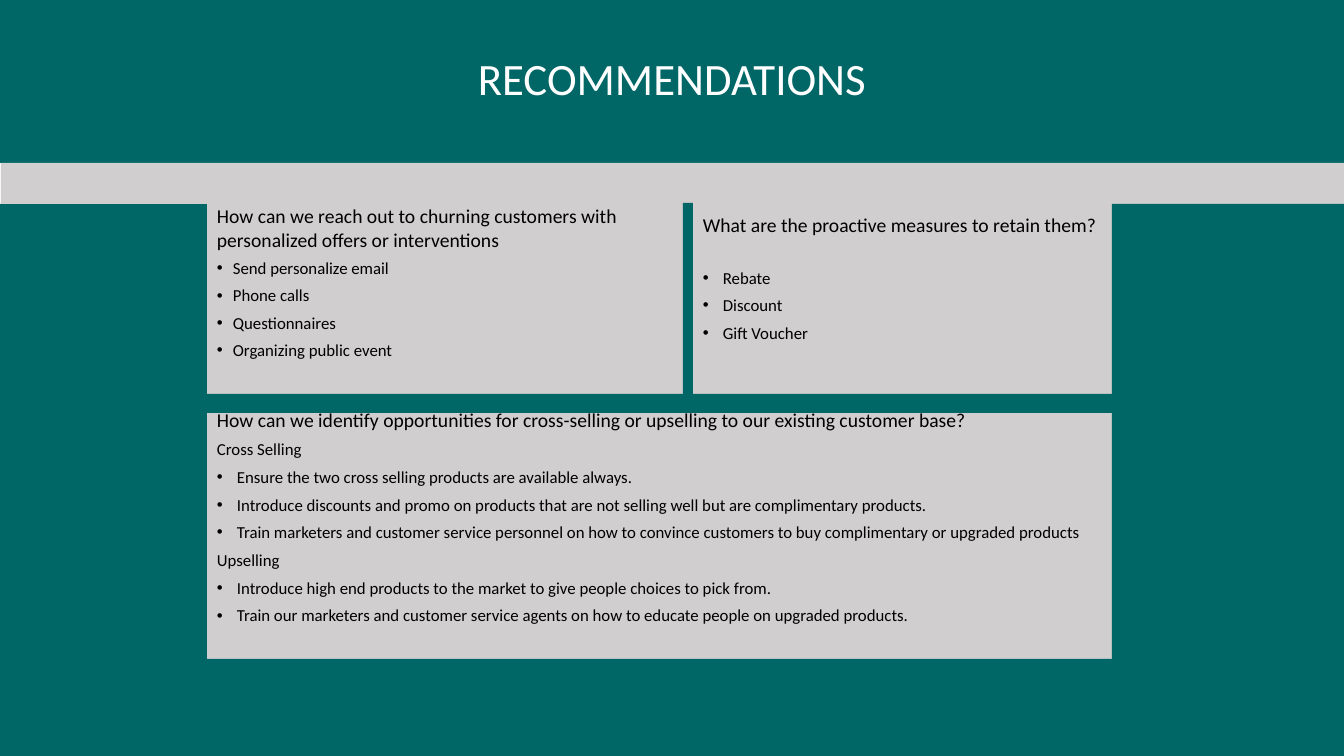
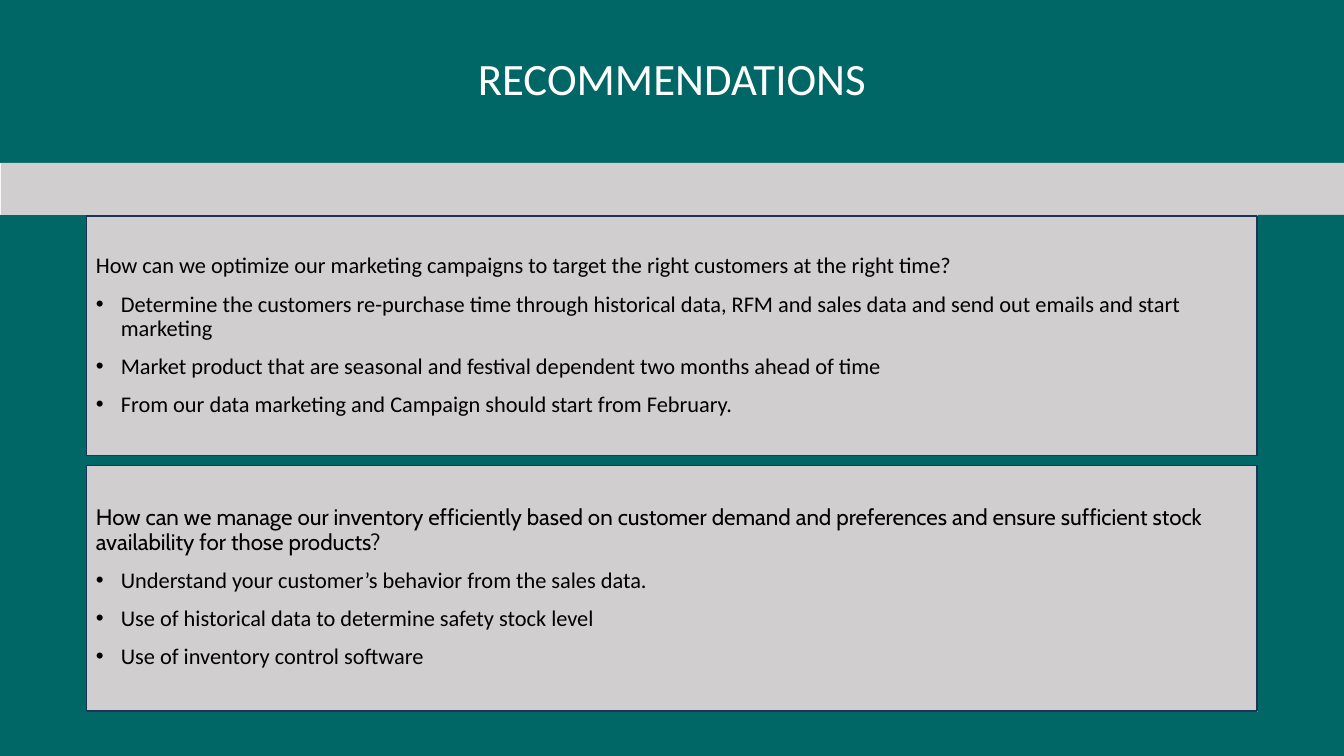
"""Build two recommendation slides with framed text cards."""
from lxml import etree
from pptx import Presentation
from pptx.dml.color import RGBColor
from pptx.enum.shapes import MSO_SHAPE
from pptx.enum.text import MSO_ANCHOR, PP_ALIGN
from pptx.oxml.ns import qn
from pptx.util import Emu, Pt

RECT = MSO_SHAPE.RECTANGLE
MIDDLE = MSO_ANCHOR.MIDDLE
LEFT, CENTER = PP_ALIGN.LEFT, PP_ALIGN.CENTER
TEAL, GREY, NAVY, BLACK, WHITE = "006666", "D0CECE", "1E3256", "000000", "FFFFFF"
FONT = "Calibri"
SLIDE_W, SLIDE_H, TITLE_H = 1344, 756, 163

HEAD, TEXT, BULLET = "head", "text", "bullet"

TIGHT = {"sizes": (14, 12), "indent": 16, "before": 6.5, "head_before": 0,
         "line": 0.9, "head_line": 1, "bottom": 36}
LOOSE = {"sizes": (14, 12), "indent": 20, "after": 5.4, "bottom": 44}
LARGE = {"sizes": (16, 16), "indent": 25, "before": 10, "line": 0.9, "outline": NAVY}

SLIDES = [
    {
        "title": "RECOMMENDATIONS",
        "frame": {"left": 207, "right": 1112, "top": 204, "bottom": 659, "gap": (394, 413)},
        "divider": (683, 203, 10, 192),
        "cards": [
            ((207, 200, 477, 195), TIGHT, [
                (HEAD, "How can we reach out to churning customers with personalized offers or interventions"),
                (BULLET, "Send personalize email"),
                (BULLET, "Phone calls"),
                (BULLET, "Questionnaires"),
                (BULLET, "Organizing public event"),
            ]),
            ((693, 200, 419, 195), {**LOOSE, "head_after": 22}, [
                (HEAD, "What are the proactive measures to retain them?"),
                (BULLET, "Rebate"),
                (BULLET, "Discount"),
                (BULLET, "Gift Voucher"),
            ]),
            ((207, 413, 905, 246), LOOSE, [
                (HEAD, "How can we identify opportunities for cross-selling or upselling to our existing customer base?"),
                (TEXT, "Cross Selling"),
                (BULLET, "Ensure the two cross selling products are available always."),
                (BULLET, "Introduce discounts and promo on products that are not selling well but are complimentary products."),
                (BULLET, "Train marketers and customer service personnel on how to convince customers to buy complimentary or upgraded products"),
                (TEXT, "Upselling"),
                (BULLET, "Introduce high end products to the market to give people choices to pick from."),
                (BULLET, "Train our marketers and customer service agents on how to educate people on upgraded products."),
            ]),
        ],
    },
    {
        "title": "RECOMMENDATIONS",
        "frame": {"left": 86, "right": 1258, "top": 215, "bottom": 712, "gap": (456, 465)},
        "cards": [
            ((86, 465, 1171, 246), {**LARGE, "head_font": "Cabin"}, [
                (HEAD, "How can we manage our inventory efficiently based on customer demand and preferences and ensure sufficient stock availability for those products?"),
                (BULLET, "Understand your customer’s behavior from the sales data."),
                (BULLET, "Use of historical data to determine safety stock level"),
                (BULLET, "Use of inventory control software"),
            ]),
            ((86, 216, 1171, 240), LARGE, [
                (HEAD, "How can we optimize our marketing campaigns to target the right customers at the right time?"),
                (BULLET, "Determine the customers re-purchase time through historical data, RFM and sales data and send out emails and start marketing"),
                (BULLET, "Market product that are seasonal and festival dependent two months ahead of time"),
                (BULLET, "From our data marketing and Campaign should start from February."),
            ]),
        ],
    },
]


def px(n):
    return Emu(round(n * 914400 / 100.8))


def rgb(value):
    return RGBColor.from_string(value)


def add_rect(s, box, fill, outline=None):
    sp = s.shapes.add_shape(RECT, *map(px, box))
    sp.shadow.inherit = False
    sp.fill.solid()
    sp.fill.fore_color.rgb = rgb(fill)
    if outline:
        sp.line.color.rgb = rgb(outline)
        sp.line.width = Pt(1)
    else:
        sp.line.fill.background()
    return sp


def add_run(p, text, size, color, font=FONT):
    r = p.add_run()
    r.text = text
    r.font.size = Pt(size)
    r.font.name = font
    r.font.color.rgb = rgb(color)


def set_bullet(p, indent):
    pPr = p._p.get_or_add_pPr()
    pPr.set("marL", str(px(indent)))
    pPr.set("indent", str(-px(indent)))
    etree.SubElement(pPr, qn("a:buFont")).set("typeface", "Arial")
    etree.SubElement(pPr, qn("a:buChar")).set("char", "•")


def add_title(s, text):
    sp = s.shapes.title
    sp.left, sp.top, sp.width, sp.height = map(px, (0, 0, SLIDE_W, TITLE_H))
    sp.fill.solid()
    sp.fill.fore_color.rgb = rgb(TEAL)
    tf = sp.text_frame
    tf.vertical_anchor = MIDDLE
    p = tf.paragraphs[0]
    p.alignment = CENTER
    p.line_spacing = 0.9
    add_run(p, text, 32, WHITE)


def add_card(s, box, style, lines):
    tf = add_rect(s, box, GREY, style.get("outline")).text_frame
    tf.word_wrap = True
    tf.vertical_anchor = MIDDLE
    tf.margin_bottom = px(style.get("bottom", 5))
    for i, (kind, text) in enumerate(lines):
        p = tf.paragraphs[0] if i == 0 else tf.add_paragraph()
        look = dict(style)
        if kind == HEAD:
            look.update({k[5:]: v for k, v in style.items() if k.startswith("head_")})
        p.alignment = LEFT
        p.line_spacing = look.get("line", 1.0)
        p.space_before = Pt(look.get("before", 0))
        p.space_after = Pt(look.get("after", 0))
        if kind == BULLET:
            set_bullet(p, look["indent"])
        size = look["sizes"][0 if kind == HEAD else 1]
        add_run(p, text, size, BLACK, look.get("font", FONT))


def add_frame(s, left, right, top, bottom, gap):
    inner_w, side_h = right - left, SLIDE_H - top
    add_rect(s, (0, top, left, side_h), TEAL)
    add_rect(s, (1, TITLE_H, SLIDE_W - 1, top - TITLE_H), GREY)
    add_rect(s, (right, top, SLIDE_W - right, side_h), TEAL)
    add_rect(s, (left, bottom, inner_w, SLIDE_H - bottom), TEAL)
    add_rect(s, (left, gap[0], inner_w, gap[1] - gap[0]), TEAL)


def main():
    prs = Presentation()
    prs.slide_width, prs.slide_height = px(SLIDE_W), px(SLIDE_H)
    for content in SLIDES:
        s = prs.slides.add_slide(prs.slide_layouts[5])
        add_title(s, content["title"])
        for box, style, lines in content["cards"]:
            add_card(s, box, style, lines)
        add_frame(s, **content["frame"])
        if "divider" in content:
            add_rect(s, content["divider"], TEAL)
    prs.save("out.pptx")


if __name__ == "__main__":
    main()
